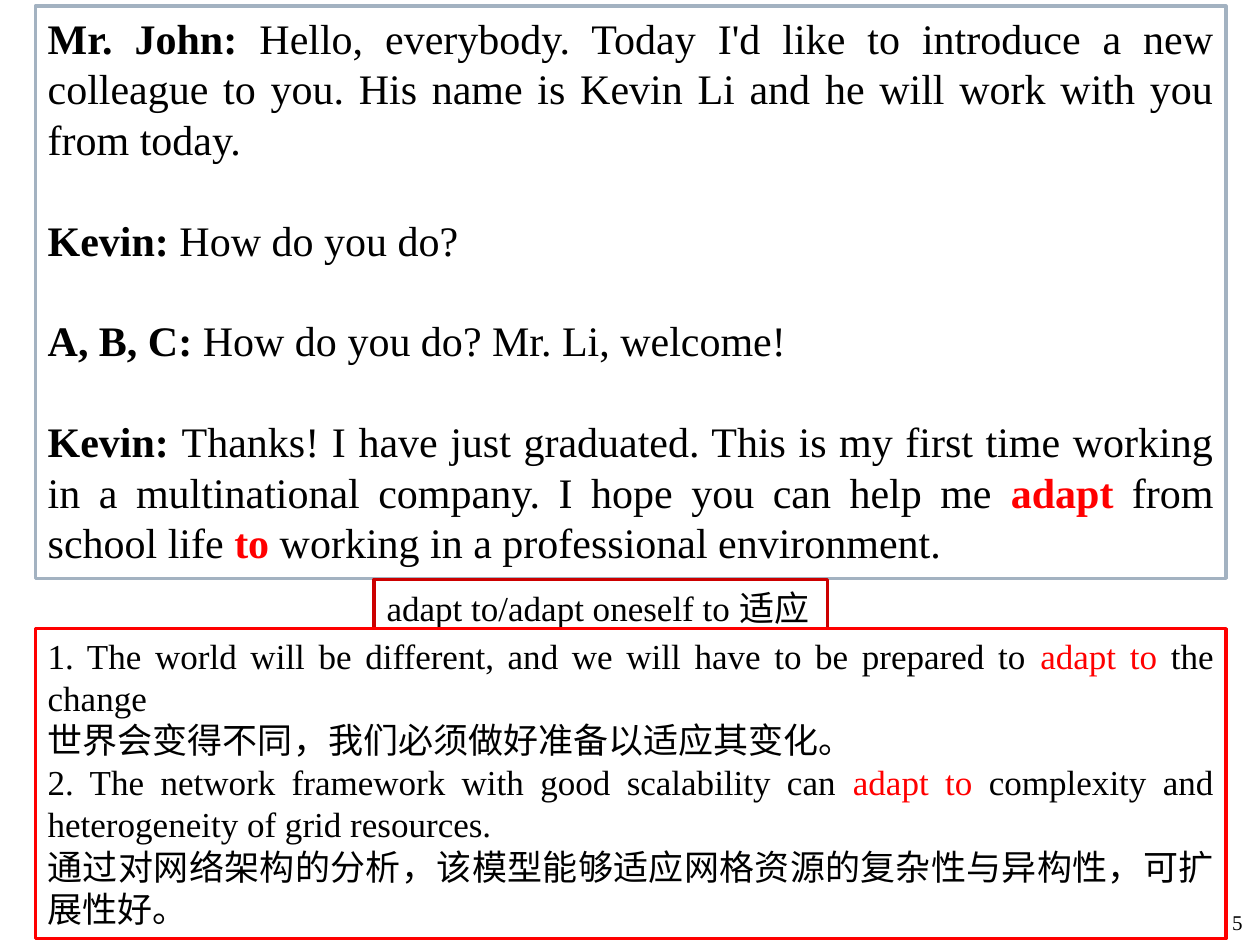
"""Build a dialogue slide with a phrase note and example sentences."""
from pptx import Presentation
from pptx.dml.color import RGBColor
from pptx.enum.shapes import MSO_SHAPE
from pptx.enum.text import MSO_ANCHOR, PP_ALIGN
from pptx.util import Inches, Pt

RECTANGLE = MSO_SHAPE.RECTANGLE
TOP, MIDDLE, BOTTOM = MSO_ANCHOR.TOP, MSO_ANCHOR.MIDDLE, MSO_ANCHOR.BOTTOM
LEFT, RIGHT, JUSTIFY = PP_ALIGN.LEFT, PP_ALIGN.RIGHT, PP_ALIGN.JUSTIFY

BLACK = RGBColor(0x00, 0x00, 0x00)
WHITE = RGBColor(0xFF, 0xFF, 0xFF)
RED = RGBColor(0xFF, 0x00, 0x00)
DARK_RED = RGBColor(0xCC, 0x00, 0x00)
GREY_BLUE = RGBColor(0xA3, 0xB2, 0xC1)

FONT = "Times New Roman"
LEADING = 1.2
PLAIN, SPEAKER, KEYWORD, PHRASE = (BLACK, False), (BLACK, True), (RED, True), (RED, False)

DIALOGUE = [
    [("Mr. John: ", SPEAKER),
     ("Hello, everybody. Today I'd like to introduce a new colleague to you. "
      "His name is Kevin Li and he will work with you from today.", PLAIN)],
    [("Kevin: ", SPEAKER), ("How do you do? ", PLAIN)],
    [("A, B, C: ", SPEAKER), ("How do you do? Mr. Li, welcome!", PLAIN)],
    [("Kevin: ", SPEAKER),
     ("Thanks! I have just graduated. This is my first time working in a "
      "multinational company. I hope you can help me ", PLAIN),
     ("adapt", KEYWORD), (" from school life ", PLAIN), ("to", KEYWORD),
     (" working in a professional environment.", PLAIN)],
]
NOTE = [[("adapt to/adapt oneself to 适应", PLAIN)]]
EXAMPLES = [
    [("1. The world will be different, and we will have to be prepared to ", PLAIN),
     ("adapt to ", PHRASE), ("the change ", PLAIN)],
    [("世界会变得不同，我们必须做好准备以适应其变化。", PLAIN)],
    [("2. The network framework with good scalability can ", PLAIN),
     ("adapt to ", PHRASE), ("complexity and heterogeneity of grid resources. ", PLAIN)],
    [("通过对网络架构的分析，该模型能够适应网格资源的复杂性与异构性，可扩展性好。", PLAIN)],
]
PAGE_NUMBER = [[("5", PLAIN)]]

PANELS = [
    (DIALOGUE, (0.28, 0.05, 9.45, 4.54), GREY_BLUE, 0.1, 24, JUSTIFY, TOP, 1),
    (NOTE, (2.97, 4.6, 3.6, 0.44), DARK_RED, 0, 20, LEFT, MIDDLE, 0),
    (EXAMPLES, (0.28, 4.99, 9.45, 2.46), RED, 0.1, 20, JUSTIFY, TOP, 0),
]


def write(frame, paragraphs, size, align, anchor, blank_lines=0):
    frame.word_wrap = True
    frame.vertical_anchor = anchor
    for index, runs in enumerate(paragraphs):
        paragraph = frame.add_paragraph() if index else frame.paragraphs[0]
        paragraph.alignment = align
        paragraph.line_spacing = Pt(size * LEADING)
        if index:
            paragraph.space_before = Pt(size * LEADING * blank_lines)
        for text, (color, bold) in runs:
            run = paragraph.add_run()
            run.text = text
            run.font.name = FONT
            run.font.size = Pt(size)
            run.font.bold = bold
            run.font.color.rgb = color


def add_panel(slide, paragraphs, box, border, right_inset, *text_style):
    panel = slide.shapes.add_shape(RECTANGLE, *map(Inches, box))
    panel.shadow.inherit = False
    panel.fill.solid()
    panel.fill.fore_color.rgb = WHITE
    panel.line.color.rgb = border
    panel.line.width = Pt(2)
    panel.text_frame.margin_right = Inches(right_inset)
    write(panel.text_frame, paragraphs, *text_style)


def main():
    deck = Presentation()
    deck.slide_width, deck.slide_height = Inches(10), Inches(7.5)
    slide = deck.slides.add_slide(deck.slide_layouts[6])
    page_number = slide.shapes.add_textbox(*map(Inches, (9.37, 6.9, 0.59, 0.57)))
    write(page_number.text_frame, PAGE_NUMBER, 12, RIGHT, BOTTOM)
    for panel in PANELS:
        add_panel(slide, *panel)
    deck.save("out.pptx")


if __name__ == "__main__":
    main()
